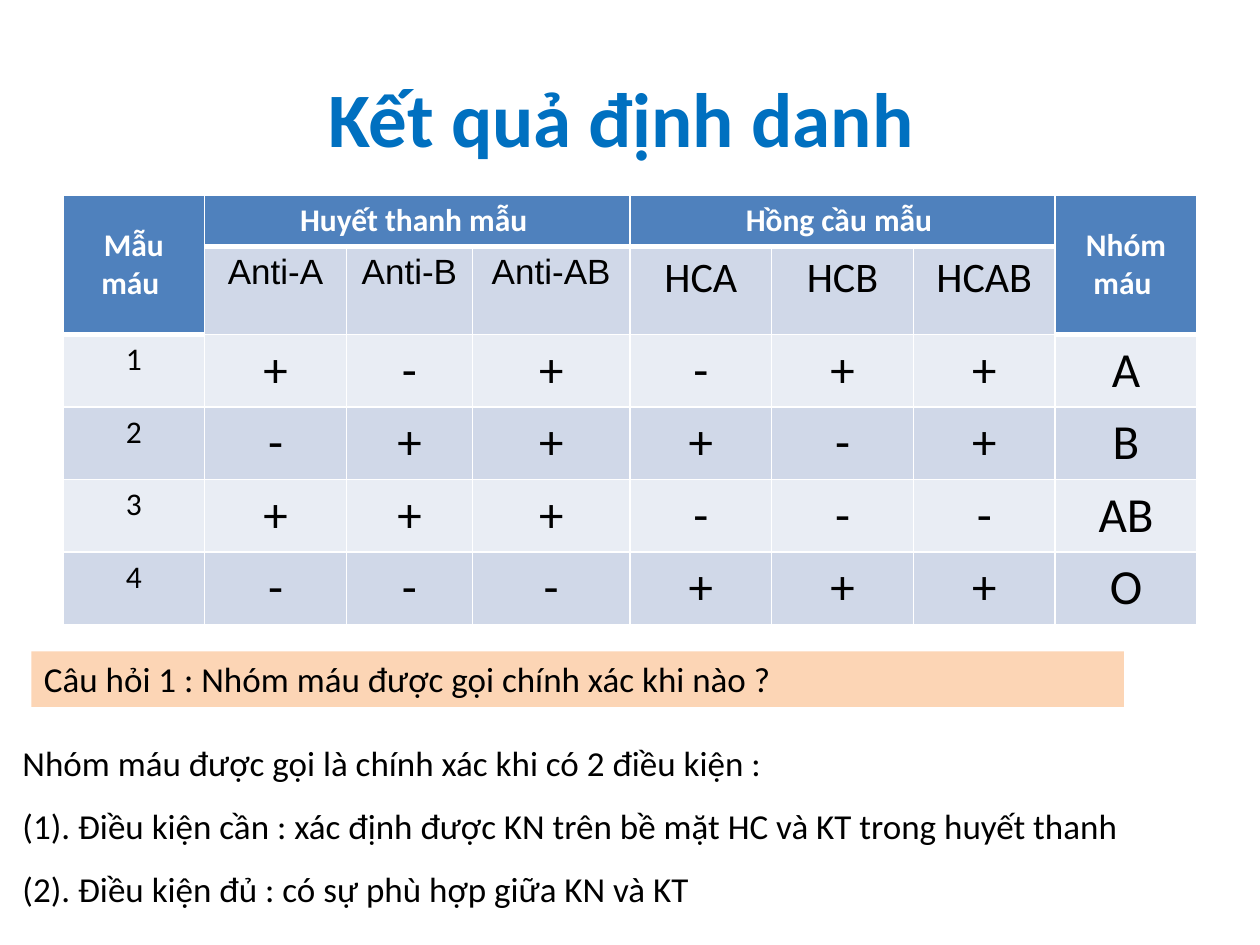
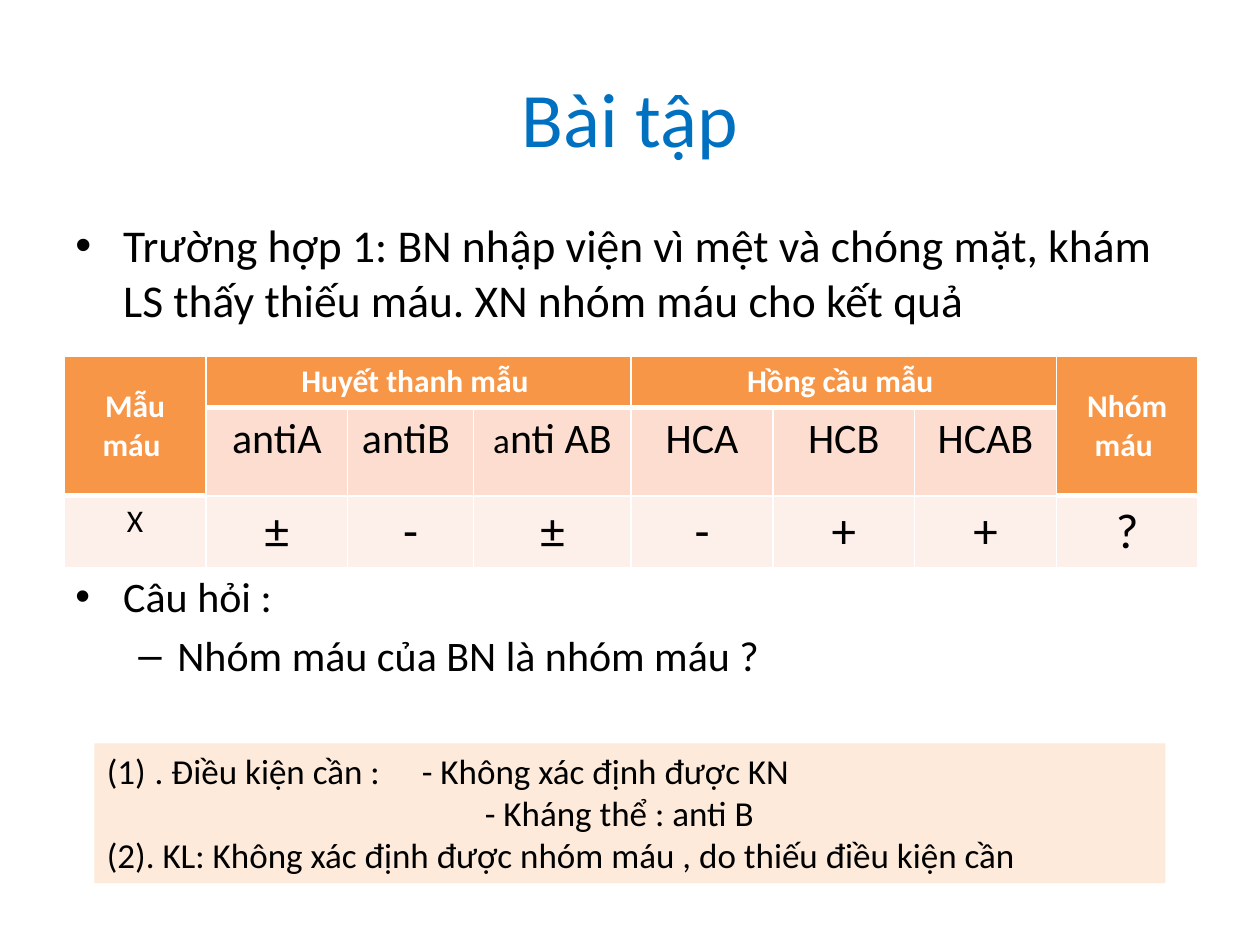
from pptx import Presentation, util as u
from pptx.dml.color import RGBColor
from pptx.enum import shapes, text
from pptx.oxml import parse_xml
from pptx.oxml.ns import nsdecls

BLUE, BLACK, WHITE = "0070C0", "000000", "FFFFFF"
COLS = [4.5, 4.5, 4, 5, 4.5, 4.5, 4.5, 4.5]
ENDS = (0, 7)
HEADS = {0: "Mẫu máu ", 1: "Huyết thanh mẫu ", 4: "Hồng cầu mẫu ", 7: "Nhóm máu "}
CELLS = ["HCA", "HCB", "HCAB"]


def color(code):
    return RGBColor.from_string(code)


def is_head(row, col):
    return row == 0 or (row == 1 and col in ENDS)


class Deck:
    font = "Calibri"

    def __init__(self):
        self.prs = Presentation()
        self.prs.slide_width, self.prs.slide_height = u.Inches(10), u.Inches(7.5)
        self.unit = self.prs.slide_width / 40

    def grid(self, *vals):
        return [round(v * self.unit) for v in vals]

    def page(self, title, bold=False):
        self.slide = self.prs.slides.add_slide(self.prs.slide_layouts[6])
        box = self.text((2, 1.2, 36, 5), [title], 44, BLUE, bold)
        box.vertical_anchor = text.MSO_ANCHOR.MIDDLE
        box.paragraphs[0].alignment = text.PP_ALIGN.CENTER

    def ink(self, par, size, hue=BLACK, bold=False, face=None):
        for run in par.runs:
            run.font.name = face or self.font
            run.font.size = u.Pt(size)
            run.font.bold = bold
            run.font.color.rgb = color(hue)

    def fill(self, frame, lines, size, hue=BLACK, bold=False):
        frame.word_wrap = True
        frame.text = "\n".join(lines)
        for par in frame.paragraphs:
            par.alignment = text.PP_ALIGN.LEFT
            self.ink(par, size, hue, bold)
        return frame

    def text(self, area, lines, size, hue=BLACK, bold=False):
        box = self.slide.shapes.add_textbox(*self.grid(*area))
        return self.fill(box.text_frame, lines, size, hue, bold)

    def panel(self, area, lines, size, back):
        box = self.slide.shapes.add_shape(shapes.MSO_SHAPE.RECTANGLE, *self.grid(*area))
        box.shadow.inherit = False
        box.fill.solid()
        box.fill.fore_color.rgb = color(back)
        box.line.fill.background()
        box.text_frame.vertical_anchor = text.MSO_ANCHOR.TOP
        return self.fill(box.text_frame, lines, size)

    def indent(self, par, left, hang=0, mark=None):
        props = par._p.get_or_add_pPr()
        props.set("marL", str(u.Inches(left)))
        props.set("indent", str(u.Inches(-hang)))
        if mark == "auto":
            props.append(parse_xml(f'<a:buAutoNum {nsdecls("a")} type="arabicParenBoth"/>'))
        elif mark:
            props.append(parse_xml(f'<a:buFont {nsdecls("a")} typeface="Arial"/>'))
            props.append(parse_xml(f'<a:buChar {nsdecls("a")} char="{mark}"/>'))

    def edges(self, cell, top, base):
        props = cell._tc.get_or_add_tcPr()
        for i, (side, wide) in enumerate(zip("LRTB", (1, 1, top, base))):
            props.insert(i, parse_xml(
                f'<a:ln{side} {nsdecls("a")} w="{u.Pt(wide)}"><a:solidFill>'
                f'<a:srgbClr val="{WHITE}"/></a:solidFill></a:ln{side}>'))

    def table(self, left, top, names, data, head, bands, face=None, size=24):
        rows = [[HEADS.get(i, "") for i in range(8)], ["", *names, *CELLS, ""], *data]
        highs = [1.62, 2.8] + [2.3] * len(data)
        area = self.grid(left, top, sum(COLS), sum(highs))
        tab = self.slide.shapes.add_table(len(rows), 8, *area).table
        tab.first_row = tab.horz_banding = False
        for col, wide in zip(tab.columns, self.grid(*COLS)):
            col.width = wide
        for row, high in zip(tab.rows, self.grid(*highs)):
            row.height = high
        for y, row in enumerate(rows):
            for x, word in enumerate(row):
                cell = tab.cell(y, x)
                top_head = is_head(y, x)
                cell.fill.solid()
                cell.fill.fore_color.rgb = color(head if top_head else bands[(y - 1) % 2])
                self.edges(cell, 3 if y and is_head(y - 1, x) else 1, 3 if top_head else 1)
                if not word:
                    continue
                cell.text_frame.text = word
                par = cell.text_frame.paragraphs[0]
                par.alignment = text.PP_ALIGN.CENTER
                if top_head:
                    self.ink(par, 18, WHITE, True)
                    if x in ENDS:
                        cell.vertical_anchor = text.MSO_ANCHOR.MIDDLE
                elif y == 1:
                    anti = x < 4
                    self.ink(par, size if anti else 24, face=face if anti else None)
                else:
                    self.ink(par, 28 if x else 18)
        for x in ENDS:
            tab.cell(0, x).merge(tab.cell(1, x))
        for x in (1, 4):
            tab.cell(0, x).merge(tab.cell(0, x + 2))
        return tab


def results(deck):
    deck.page("Kết quả định danh ", True)
    data = [["1", *"+-+-++", "A"], ["2", *"-+++-+", "B"],
            ["3", *"+++---", "AB"], ["4", *"---+++", "O"]]
    deck.table(2, 6.2, ["Anti-A", "Anti-B ", "Anti-AB"], data,
               "4F81BD", ("D0D8E8", "E9EDF4"), "Arial", 20)
    deck.panel((1, 20.68, 34.68, 1.76),
               ["Câu hỏi 1 : Nhóm máu được gọi chính xác khi nào ?"], 20, "FCD5B5")
    rules = deck.text((0.32, 22.68, 39.32, 6.48), [
        "Nhóm máu được gọi là chính xác khi có 2 điều kiện :",
        "(1). Điều kiện cần : xác định được KN trên bề mặt HC và KT trong huyết thanh",
        "(2). Điều kiện đủ : có sự phù hợp giữa KN và KT"], 20)
    for par in rules.paragraphs:
        par.line_spacing = 1.5


def quiz(deck):
    deck.page("Bài tập")
    case = deck.text((2, 6.7, 36, 4), [
        "Trường hợp 1: BN nhập viện vì mệt và chóng mặt, khám LS thấy thiếu máu. "
        "XN nhóm máu cho kết quả"], 26)
    deck.indent(case.paragraphs[0], 0.38, 0.38, "•")
    ask = deck.text((2, 17.92, 36, 4), ["Câu hỏi :", "Nhóm máu của BN là nhóm máu ?"], 24)
    deck.indent(ask.paragraphs[0], 0.38, 0.38, "•")
    ask.paragraphs[1].space_before = u.Pt(4.8)
    deck.indent(ask.paragraphs[1], 0.81, 0.31, "–")
    tab = deck.table(2.04, 11.32, ["antiA", "antiB ", "a"], [["X", *"±-±-++", "?"]],
                     "F79646", ("FCDDCF", "FDEFE9"))
    par = tab.cell(1, 3).text_frame.paragraphs[0]
    par.add_run().text = "nti AB"
    deck.ink(par, 24)
    par.runs[0].font.size = u.Pt(20)
    notes = deck.panel((3, 23.6, 34, 4.44), [
        ". Điều kiện cần : \t- Không xác định được KN",
        "- Kháng thể : anti B",
        "(2). KL: Không xác định được nhóm máu , do thiếu điều kiện cần"], 20, "FDEADA")
    deck.indent(notes.paragraphs[0], 0.38, 0.38, "auto")
    deck.indent(notes.paragraphs[1], 3)


def main():
    deck = Deck()
    results(deck)
    quiz(deck)
    deck.prs.save("out.pptx")


if __name__ == "__main__":
    main()
